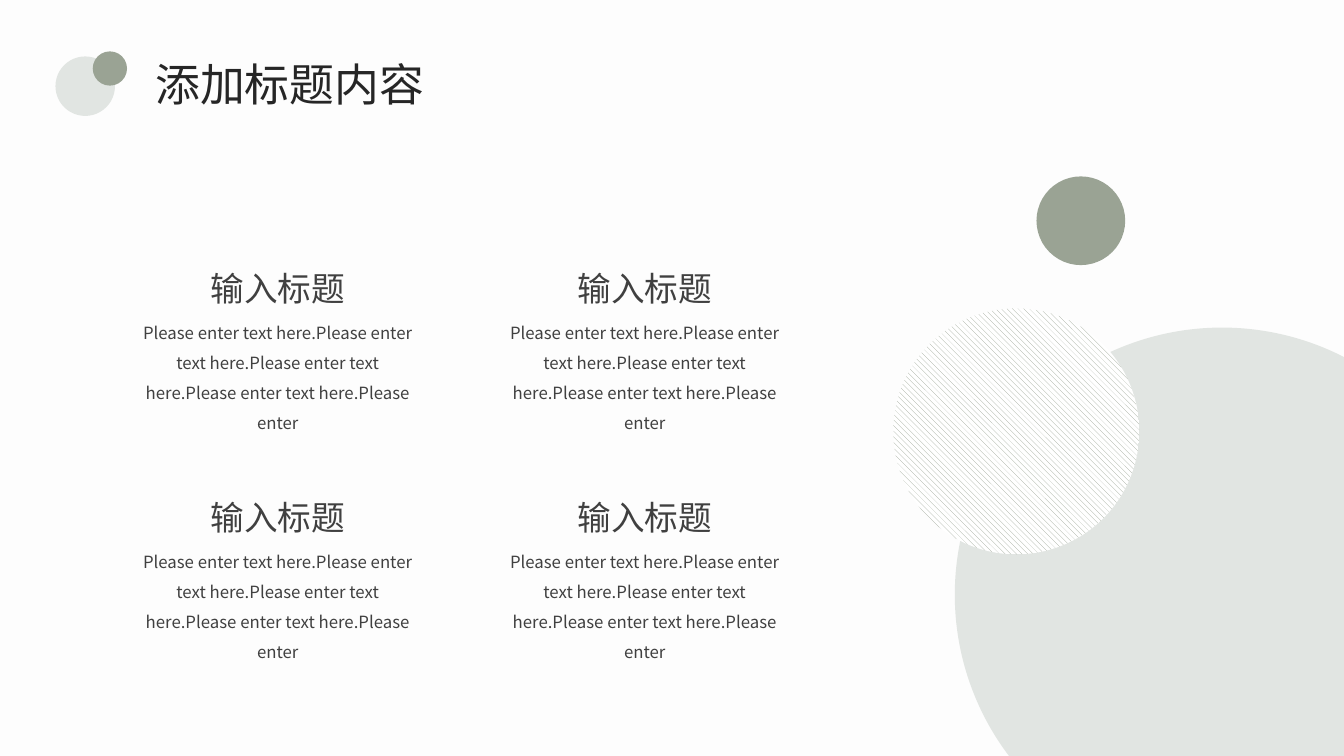
from collections import namedtuple
from dataclasses import dataclass
from itertools import product

from lxml.etree import SubElement
from pptx import Presentation
from pptx.dml.color import RGBColor
from pptx.enum.dml import MSO_PATTERN
from pptx.enum.shapes import MSO_SHAPE
from pptx.enum.text import MSO_ANCHOR, MSO_AUTO_SIZE, PP_ALIGN
from pptx.oxml.ns import qn
from pptx.util import Inches, Pt

Box = namedtuple("Box", "left top width height")


@dataclass(frozen=True)
class Theme:
    font: str = "Noto Sans CJK SC"
    background: RGBColor = RGBColor.from_string("FDFDFD")
    title: RGBColor = RGBColor.from_string("262626")
    text: RGBColor = RGBColor.from_string("404040")
    pale: RGBColor = RGBColor.from_string("E1E5E2")
    sage: RGBColor = RGBColor.from_string("9AA394")
    white: RGBColor = RGBColor.from_string("FFFFFF")
    title_size: int = 32
    heading_size: int = 24
    body_size: int = 12


THEME = Theme()
SLIDE = Box(0, 0, 13.33, 7.5)
HEADER = Box(0.55, 0.51, 3.78, 0.64)
TOPICS = Box(1.21, 2.41, 6.73, 4.2)
ORNAMENT = Box(8.86, 1.75, 5.91, 6.8)

BODY = ("Please enter text here." * 4) + "Please enter"
ENTRIES = [("输入标题", BODY)] * 4


def inches(box):
    return [Inches(length) for length in box]


def place(shape, box):
    shape.left, shape.top, shape.width, shape.height = inches(box)


def write(frame, text, size, color, align, spacing=1.0, wrap=True):
    frame.word_wrap = wrap
    frame.auto_size = MSO_AUTO_SIZE.SHAPE_TO_FIT_TEXT
    frame.vertical_anchor = MSO_ANCHOR.TOP
    para = frame.paragraphs[0]
    para.alignment = align
    para.line_spacing = spacing
    para.space_before = Pt(0)
    span = para.add_run()
    span.text = text
    span.font.size = Pt(size)
    span.font.name = THEME.font
    span.font.color.rgb = color
    # East Asian characters take their own typeface entry
    SubElement(span.font._element, qn("a:ea"), typeface=THEME.font)


def add_circle(shapes, left, top, diameter, color, striped=False):
    circle = shapes.add_shape(
        MSO_SHAPE.OVAL, *inches((left, top, diameter, diameter)))
    circle.shadow.inherit = False
    circle.line.fill.background()
    if striped:
        circle.fill.patterned()
        circle.fill.pattern = MSO_PATTERN.WIDE_DOWNWARD_DIAGONAL
        circle.fill.fore_color.rgb = color
        circle.fill.back_color.rgb = THEME.white
    else:
        circle.fill.solid()
        circle.fill.fore_color.rgb = color


def add_header(page, box, text):
    title = page.shapes.title
    indent = 0.89
    place(title, Box(box.left + indent, box.top, box.width - indent, box.height))
    write(title.text_frame, text, THEME.title_size, THEME.title,
          PP_ALIGN.LEFT, wrap=False)
    # Two-circle badge
    badge = page.shapes.add_group_shape()
    add_circle(badge.shapes, box.left, box.top + 0.05, 0.59, THEME.pale)
    add_circle(badge.shapes, box.left + 0.37, box.top, 0.34, THEME.sage)


def add_topic(page, box, heading, body):
    heading_height, inset = 0.64, 0.03
    parts = [
        (Box(box.left + inset, box.top + heading_height,
             box.width - 2 * inset, box.height - heading_height),
         body, THEME.body_size),
        (Box(box.left, box.top, box.width, heading_height),
         heading, THEME.heading_size),
    ]
    for area, text, size in parts:
        label = page.shapes.add_textbox(*inches(area))
        write(label.text_frame, text, size, THEME.text,
              PP_ALIGN.CENTER, spacing=1.5)


def add_topics(page, box, entries, columns=2, rows=2):
    column_gap, row_gap = 0.55, 0.34
    width = (box.width - (columns - 1) * column_gap) / columns
    height = (box.height - (rows - 1) * row_gap) / rows
    for (row, column), entry in zip(product(range(rows), range(columns)), entries):
        cell = Box(box.left + column * (width + column_gap),
                   box.top + row * (height + row_gap), width, height)
        add_topic(page, cell, *entry)


def add_ornament(page, box):
    add_circle(page.shapes, box.left + 1.42, box.top, 0.88, THEME.sage)
    add_circle(page.shapes, box.left + 0.61, box.top + 1.5, 5.3, THEME.pale)
    add_circle(page.shapes, box.left, box.top + 1.31, 2.44, THEME.sage, striped=True)


def main():
    deck = Presentation()
    deck.slide_width, deck.slide_height = inches(SLIDE[2:])
    page = deck.slides.add_slide(deck.slide_layouts.get_by_name("Title Only"))
    page.background.fill.solid()
    page.background.fill.fore_color.rgb = THEME.background
    add_header(page, HEADER, "添加标题内容")
    add_topics(page, TOPICS, ENTRIES)
    add_ornament(page, ORNAMENT)
    deck.save("out.pptx")


if __name__ == "__main__":
    main()
